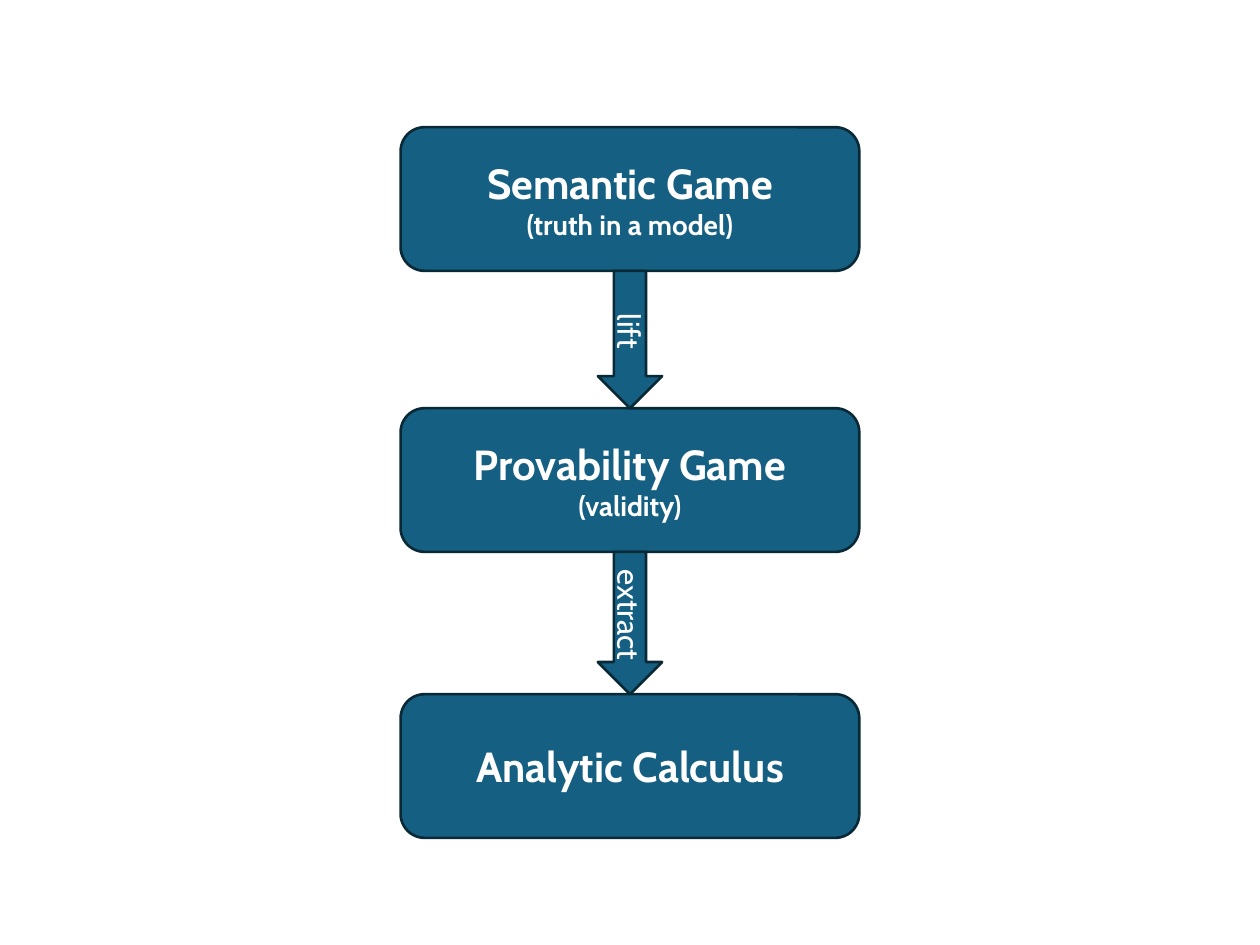
import pptx
import pptx.util
import pptx.dml.color
import pptx.enum.shapes
import pptx.enum.text

Inches = pptx.util.Inches
Pt = pptx.util.Pt
Kind = pptx.enum.shapes.MSO_SHAPE


def tint(fill, color):
    fill.solid()
    fill.fore_color.rgb = pptx.dml.color.RGBColor.from_string(color)


def write(shape, text, sizes, bold=False, color="FFFFFF", font="Cabin"):
    """Fill a shape with centred lines of text, one size for each line."""
    frame = shape.text_frame
    frame.word_wrap = True
    frame.vertical_anchor = pptx.enum.text.MSO_ANCHOR.MIDDLE
    frame.margin_left = frame.margin_right = Inches(0.05)
    frame.margin_top = frame.margin_bottom = Inches(0.05)
    frame.text = text
    for para, size in zip(frame.paragraphs, sizes):
        para.alignment = pptx.enum.text.PP_ALIGN.CENTER
        for run in para.runs:
            run.font.name = font
            run.font.size = Pt(size)
            run.font.bold = bold
            tint(run.font.fill, color)


deck = pptx.Presentation()
deck.slide_width = Inches(10)
deck.slide_height = Inches(7.5)
slide = deck.slides.add_slide(deck.slide_layouts[6])
shapes = slide.shapes

mid = 5
wide, high = 3.64, 1.14
head = 0.51
stages = [
    (1.01, "Semantic Game\n(truth in a model)"),
    (3.24, "Provability Game\n(validity)"),
    (5.51, "Analytic Calculus"),
]
# Label, length and vertical centre of the text on each arrow
steps = [("lift", 0.84, 2.63), ("extract", 0.89, 4.88)]

parts = []
for top, text in stages:
    box = shapes.add_shape(Kind.ROUNDED_RECTANGLE, Inches(mid - wide / 2),
                           Inches(top), Inches(wide), Inches(high))
    write(box, text, (24, 16), bold=True)
    parts.append(box)

for (top, _), (below, _) in zip(stages, stages[1:]):
    start = top + high
    parts.append(shapes.add_shape(Kind.DOWN_ARROW, Inches(mid - head / 2),
                                  Inches(start), Inches(head),
                                  Inches(below - start)))

for part in parts:
    part.shadow.inherit = False
    tint(part.fill, "156082")
    tint(part.line.fill, "092937")
    part.line.width = Pt(1.5)

tall = 0.41
for text, span, center in steps:
    label = shapes.add_textbox(Inches(mid - span / 2), Inches(center - tall / 2),
                               Inches(span), Inches(tall))
    label.rotation = 90
    write(label, text, (18,))

deck.save("out.pptx")
